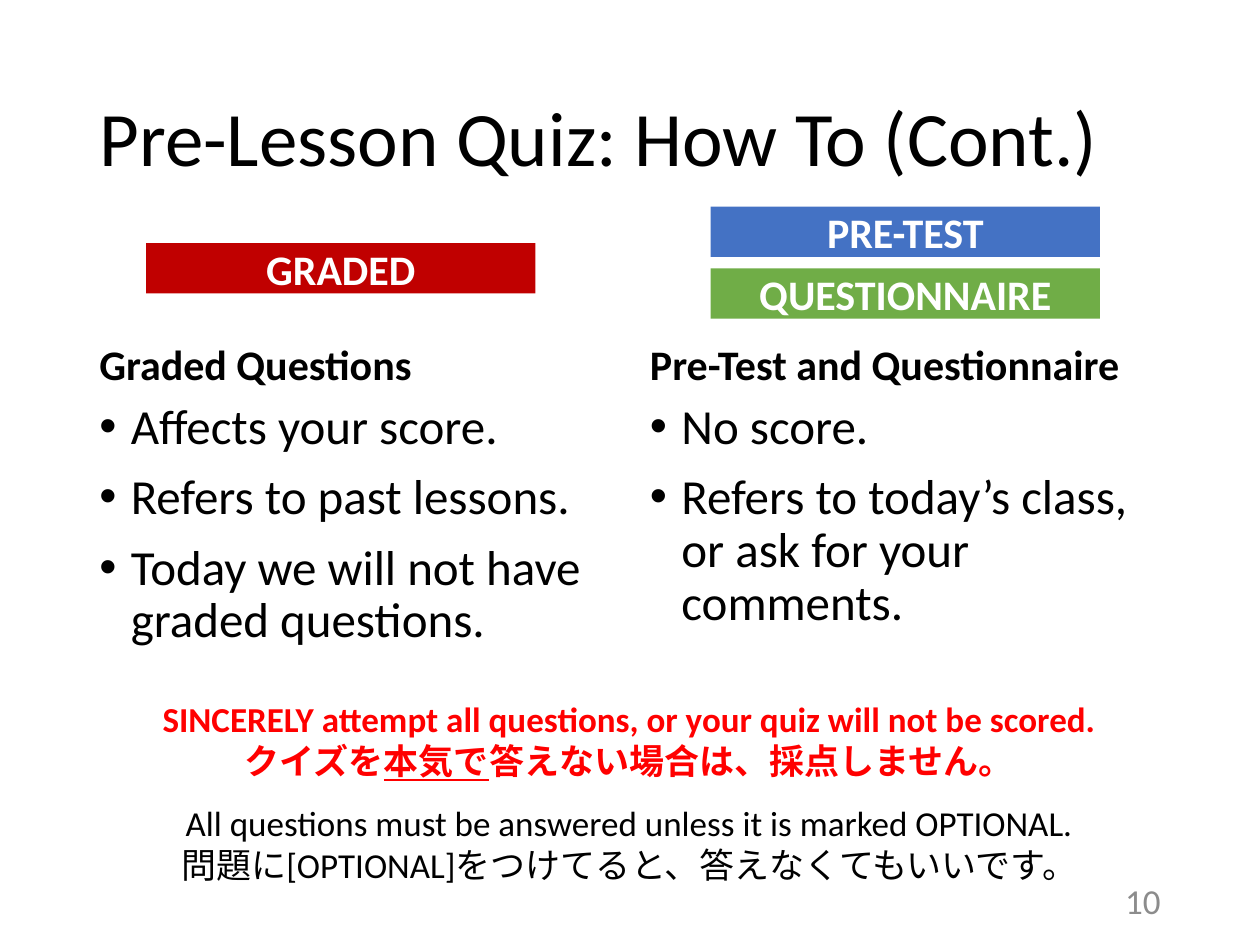
"""Build the pre-lesson quiz slide comparing graded and ungraded questions."""
from dataclasses import dataclass

from lxml.etree import SubElement
from pptx import Presentation
from pptx.dml.color import RGBColor as RGB
from pptx.enum.shapes import MSO_SHAPE as SHAPE
from pptx.enum.text import MSO_ANCHOR as ANCHOR, MSO_AUTO_SIZE as AUTO, PP_ALIGN as ALIGN
from pptx.oxml.ns import qn
from pptx.util import Inches, Pt


@dataclass(frozen=True)
class Theme:
    font: str = "Calibri"
    black: str = "000000"
    white: str = "FFFFFF"
    gray: str = "8C8C8C"
    warning: str = "FF0000"
    graded: str = "C00000"
    pretest: str = "4472C4"
    questionnaire: str = "70AD47"
    title: int = 44
    bullet: int = 28
    heading: int = 24
    note: int = 20


T = Theme()


def write(tf, text, size, color=T.black, bold=False, align=ALIGN.LEFT,
          line=None, before=0, bullet=False, underlined=""):
    p = tf.add_paragraph() if tf.text else tf.paragraphs[0]
    p.alignment = align
    p.line_spacing = line
    p.space_before = Pt(before)
    if bullet:
        pPr = p._p.get_or_add_pPr()
        pPr.set("marL", str(Inches(0.25)))
        pPr.set("indent", str(-Inches(0.25)))
        SubElement(pPr, qn("a:buFont"), typeface="Arial")
        SubElement(pPr, qn("a:buChar"), char="•")
    parts = text.partition(underlined) if underlined else (text,)
    for part in parts:
        r = p.add_run()
        r.text = part
        r.font.name = T.font
        r.font.size = Pt(size)
        r.font.bold = bold
        r.font.color.rgb = RGB.from_string(color)
        if underlined and part == underlined:
            r.font.underline = True


def add_box(s, left, top, width, height, anchor=ANCHOR.TOP):
    box = s.shapes.add_textbox(Inches(left), Inches(top), Inches(width), Inches(height))
    tf = box.text_frame
    tf.word_wrap = True
    tf.vertical_anchor = anchor
    return tf


prs = Presentation()
prs.slide_width, prs.slide_height = Inches(10), Inches(7.5)
s = prs.slides.add_slide(prs.slide_layouts[5])

title = s.shapes.title
title.left, title.top = Inches(0.69), Inches(0.4)
title.width, title.height = Inches(8.62), Inches(1.45)
tf = title.text_frame
tf.auto_size = AUTO.NONE
tf.vertical_anchor = ANCHOR.MIDDLE
write(tf, "Pre-Lesson Quiz: How To (Cont.)", T.title, line=0.9)

columns = [
    (0.69, 4.23, "Graded Questions",
     ["Affects your score.", "Refers to past lessons.",
      "Today we will not have graded questions."]),
    (5.06, 4.25, "Pre-Test and Questionnaire",
     ["No score.", "Refers to today’s class, or ask for your comments."]),
]
for left, width, heading, bullets in columns:
    tf = add_box(s, left, 2.24, width, 0.9, ANCHOR.BOTTOM)
    write(tf, heading, T.heading, bold=True, line=0.9, before=10)
    tf = add_box(s, left, 3.14, width, 2.43)
    for text in bullets:
        write(tf, text, T.bullet, line=0.9, before=10, bullet=True)

labels = [
    ("GRADED", 1.16, 1.93, T.graded),
    ("PRE-TEST", 5.64, 1.64, T.pretest),
    ("QUESTIONNAIRE", 5.64, 2.13, T.questionnaire),
]
for text, left, top, color in labels:
    sp = s.shapes.add_shape(SHAPE.RECTANGLE, Inches(left), Inches(top), Inches(3.09), Inches(0.4))
    sp.shadow.inherit = False
    sp.fill.solid()
    sp.fill.fore_color.rgb = RGB.from_string(color)
    sp.line.fill.background()
    sp.text_frame.vertical_anchor = ANCHOR.MIDDLE
    write(sp.text_frame, text, T.heading, T.white, bold=True, align=ALIGN.CENTER)

tf = add_box(s, 0.51, 5.49, 8.97, 1.62)
tf.auto_size = AUTO.SHAPE_TO_FIT_TEXT
warning = dict(size=T.note, color=T.warning, bold=True, align=ALIGN.CENTER)
note = dict(size=T.note, align=ALIGN.CENTER)
write(tf, "SINCERELY attempt all questions, or your quiz will not be scored.", **warning)
write(tf, "クイズを本気で答えない場合は、採点しません。", underlined="本気で", **warning)
write(tf, "All questions must be answered unless it is marked OPTIONAL.", before=11, **note)
write(tf, "問題に[OPTIONAL]をつけてると、答えなくてもいいです。", **note)

tf = add_box(s, 7.06, 6.95, 2.25, 0.4, ANCHOR.MIDDLE)
write(tf, "10", T.note, T.gray, align=ALIGN.RIGHT)

prs.save("out.pptx")
